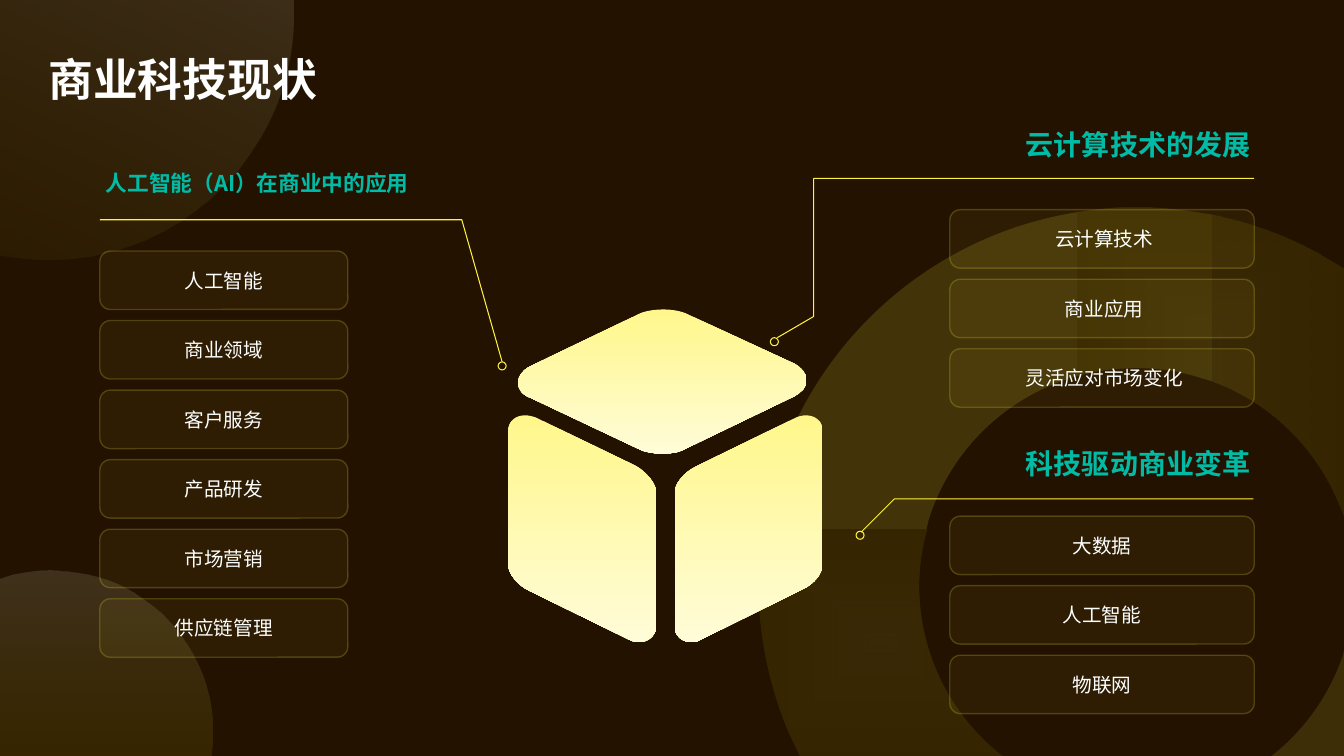
from pptx import Presentation
from pptx.dml.color import RGBColor
from pptx.enum.shapes import MSO_SHAPE
from pptx.enum.text import MSO_ANCHOR, PP_ALIGN
from pptx.oxml import parse_xml
from pptx.oxml.ns import nsdecls, qn
from pptx.util import Pt
from lxml import etree

PX = 9144
SLIDE_W, SLIDE_H = 1333, 750
RECT, ROUND_RECT, OVAL = MSO_SHAPE.RECTANGLE, MSO_SHAPE.ROUNDED_RECTANGLE, MSO_SHAPE.OVAL
LEFT, CENTER, RIGHT = PP_ALIGN.LEFT, PP_ALIGN.CENTER, PP_ALIGN.RIGHT
MIDDLE = MSO_ANCHOR.MIDDLE

YELLOW, DARK, TEAL, WHITE, LABEL = "FFF23E", "231200", "00BCA7", "FFFFFF", "FDFFFF"
CJK = "Noto Sans CJK SC"
TITLE_FONT = {"name": "Arial", "size": Pt(32), "bold": True}
WIDE_HEADING_FONT = {"name": CJK, "size": Pt(15.5), "bold": True}
HEADING_FONT = {"name": CJK, "size": Pt(20), "bold": True}
LABEL_FONT = {"name": CJK, "size": Pt(14), "bold": False}

LINEAR = '<a:lin ang="{}" scaled="0"/>'
DOWN, TILTED = LINEAR.format(5400000), LINEAR.format(6900000)
FROM_CENTER = ('<a:path path="shape"><a:fillToRect l="50000" t="50000" '
               'r="50000" b="50000"/></a:path>')
RING_GLOW = ((YELLOW, 70), ("C5B700", 77), FROM_CENTER)
FACE_GLOW = (("FFF78B", 100), ("FFFCD8", 100), DOWN)

RING_SOLID = [
    ("M1333,645 L1333,750 L1261,750 L1266,746 C1296,721,1319,688,1332,650", 85),
    ("M1127,206 C1140,206,1153,206,1166,208 L1202,213 L1202,378 L1191,375 "
     "C1171,368,1150,365,1127,365 C1030,365,948,429,921,516 L919,525 L757,525 "
     "L760,505 C795,334,946,206,1127,206", 100),
]
GLOWS = [
    ("M757,525 L919,525 L916,537 C913,551,911,566,911,581 C911,648,942,708,990,747 "
     "L994,750 L793,750 L782,727 C763,682,752,632,752,581 C752,568,753,555,754,542",
     RING_GLOW),
    ("M1127,206 C1192,206,1253,222,1306,251 L1333,267 L1333,514 L1326,497 "
     "C1293,419,1217,365,1127,365 C1112,365,1098,366,1084,369 L1069,373 L1069,211 "
     "L1089,208 C1102,206,1114,206,1127,206", RING_GLOW),
    ("M0,0 L291,0 L291,1 C293,40,286,80,268,118 C221,217,117,270,14,255 L0,253",
     (("FFFCD8", 80), ("9E9400", 50), TILTED)),
    ("M58,566 C84,567,110,574,133,588 C190,623,218,686,209,748 L209,750 L0,750 "
     "L0,574 L12,570 C27,567,42,565,58,566",
     (("FFFCD8", 90), ("DECF00", 70), DOWN)),
]
CUBE_FACES = [
    "M657,450 C650,450,643,449,637,447 L527,395 C518,392,514,386,514,380 "
    "C514,373,518,368,525,364 L637,310 C643,308,651,307,658,307 "
    "C665,307,672,308,678,310 L788,361 C795,365,800,371,800,377 "
    "C800,384,795,389,788,393 L676,447 C672,449,664,450,657,450",
    "M634,637 C630,637,627,636,623,634 L525,586 C514,581,504,569,504,560 L504,428 "
    "C504,418,511,412,521,412 C524,412,528,413,531,414 L630,462 "
    "C641,468,651,480,651,489 L651,620 C651,630,643,637,634,637",
    "M686,637 C676,637,669,630,669,621 L669,490 C669,480,678,469,690,463 L790,414 "
    "C792,413,797,412,799,412 C809,412,816,418,816,428 L816,558 "
    "C816,569,808,579,795,585 L696,634 C693,636,690,637,686,637",
]
CALLOUTS = [
    ("M99,218 L458,218 L498,359", (494, 359)),
    ("M771,335 L807,314 L807,177 L1244,177", (764, 335)),
    ("M854,528 L887,495 L1243,495", (849, 527)),
]
HEADINGS = [
    ("人工智能（AI）在商业中的应用", (95, 159, 352, 44), WIDE_HEADING_FONT, LEFT),
    ("云计算技术的发展", (903, 121, 347, 44), HEADING_FONT, RIGHT),
    ("科技驱动商业变革", (903, 438, 347, 44), HEADING_FONT, RIGHT),
]
BUTTON_H, BUTTON_PITCH = 58, 69
BUTTON_COLUMNS = [
    (942, 512, 302, ["大数据", "人工智能", "物联网"]),
    (942, 208, 302, [" 云计算技术", " 商业应用", " 灵活应对市场变化"]),
    (99, 249, 246, ["人工智能", "商业领域", "客户服务", "产品研发", "市场营销", "供应链管理"]),
]


def rgb(value):
    return RGBColor.from_string(value)


def px(*lengths):
    return [length * PX for length in lengths]


def tint(fill, color, opacity=100):
    fill.solid()
    fill.fore_color.rgb = rgb(color)
    if opacity < 100:
        swatch = fill._xPr.find(".//" + qn("a:srgbClr"))
        etree.SubElement(swatch, qn("a:alpha")).set("val", str(opacity * 1000))


def stroke(shape, width, opacity=100):
    shape.line.width = Pt(width)
    tint(shape.line.fill, YELLOW, opacity)


def add_outline(slide, outline, closed=True):
    steps = []
    for step in outline.split():
        numbers = [int(n) for n in step[1:].split(",")]
        steps.append((step[0], list(zip(numbers[::2], numbers[1::2]))))
    start = steps[0][1][0]
    builder = slide.shapes.build_freeform(*start, scale=PX)
    builder.add_line_segments([p for _, points in steps[1:] for p in points], close=closed)
    shape = builder.convert_to_shape()
    shape.shadow.inherit = False
    segments = iter(shape._element.findall(".//" + qn("a:lnTo")))
    for command, points in steps[1:]:
        first, *others = [next(segments) for _ in points]
        if command == "C":
            first.tag = qn("a:cubicBezTo")
            for other in others:
                first.append(other[0])
                other.getparent().remove(other)
    return shape


def add_solid(slide, outline, opacity):
    shape = add_outline(slide, outline)
    tint(shape.fill, YELLOW, opacity)
    shape.line.fill.background()


def add_glow(slide, outline, glow):
    *stops, direction = glow
    shape = add_outline(slide, outline)
    shape.line.fill.background()
    stop_xml = "".join(
        f'<a:gs pos="{i * 100000}"><a:srgbClr val="{color}">'
        f'<a:alpha val="{opacity * 1000}"/></a:srgbClr></a:gs>'
        for i, (color, opacity) in enumerate(stops))
    gradient = parse_xml(f'<a:gradFill {nsdecls("a")} rotWithShape="1">'
                         f'<a:gsLst>{stop_xml}</a:gsLst>{direction}</a:gradFill>')
    shape._element.spPr.find(qn("a:custGeom")).addnext(gradient)


def add_preset(slide, preset, box):
    shape = slide.shapes.add_shape(preset, *px(*box))
    shape.shadow.inherit = False
    return shape


def add_callout(slide, outline, dot):
    leader = add_outline(slide, outline, closed=False)
    ring = add_preset(slide, OVAL, (*dot, 8, 8))
    for part in (leader, ring):
        part.fill.background()
        stroke(part, 0.75)


def write(shape, text, font, color, align):
    frame = shape.text_frame
    frame.word_wrap = True
    frame.vertical_anchor = MIDDLE
    paragraph = frame.paragraphs[0]
    paragraph.alignment = align
    run = paragraph.add_run()
    run.text = text
    for attribute, value in font.items():
        setattr(run.font, attribute, value)
    run.font.color.rgb = rgb(color)
    etree.SubElement(run._r.get_or_add_rPr(), qn("a:ea")).set("typeface", CJK)
    return paragraph


def add_text(slide, text, box, font, color, align):
    return write(slide.shapes.add_textbox(*px(*box)), text, font, color, align)


def add_button(slide, text, box):
    button = add_preset(slide, ROUND_RECT, box)
    button.adjustments[0] = 0.18
    tint(button.fill, YELLOW, 5)
    stroke(button, 1, 20)
    write(button, text, LABEL_FONT, LABEL, CENTER)


def main():
    deck = Presentation()
    deck.slide_width, deck.slide_height = px(SLIDE_W, SLIDE_H)
    slide = deck.slides.add_slide(deck.slide_layouts[6])
    tint(slide.background.fill, DARK)
    for outline, opacity in RING_SOLID:
        add_solid(slide, outline, opacity)
    for outline, glow in GLOWS:
        add_glow(slide, outline, glow)
    veil = add_preset(slide, RECT, (0, 0, SLIDE_W, SLIDE_H))
    tint(veil.fill, DARK, 85)
    veil.line.fill.background()
    for outline, dot in CALLOUTS:
        add_callout(slide, outline, dot)
    for text, box, font, align in HEADINGS:
        add_text(slide, text, box, font, TEAL, align)
    for left, top, width, labels in BUTTON_COLUMNS:
        for row, label in enumerate(labels):
            add_button(slide, label, (left, top + row * BUTTON_PITCH, width, BUTTON_H))
    for face in CUBE_FACES:
        add_glow(slide, face, FACE_GLOW)
    title = add_text(slide, "商业科技现状", (38, 33, 1257, 79), TITLE_FONT, WHITE, LEFT)
    title.line_spacing = 1.2
    deck.save("out.pptx")


if __name__ == "__main__":
    main()
